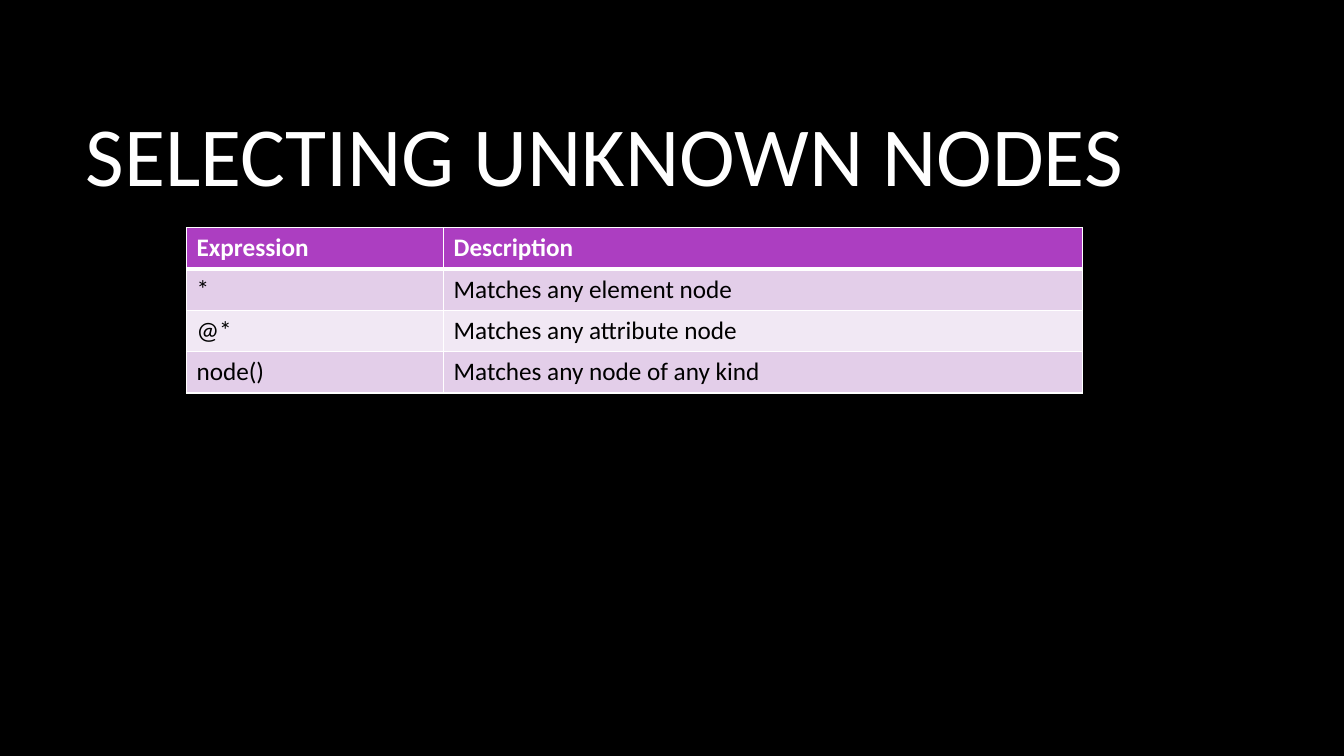
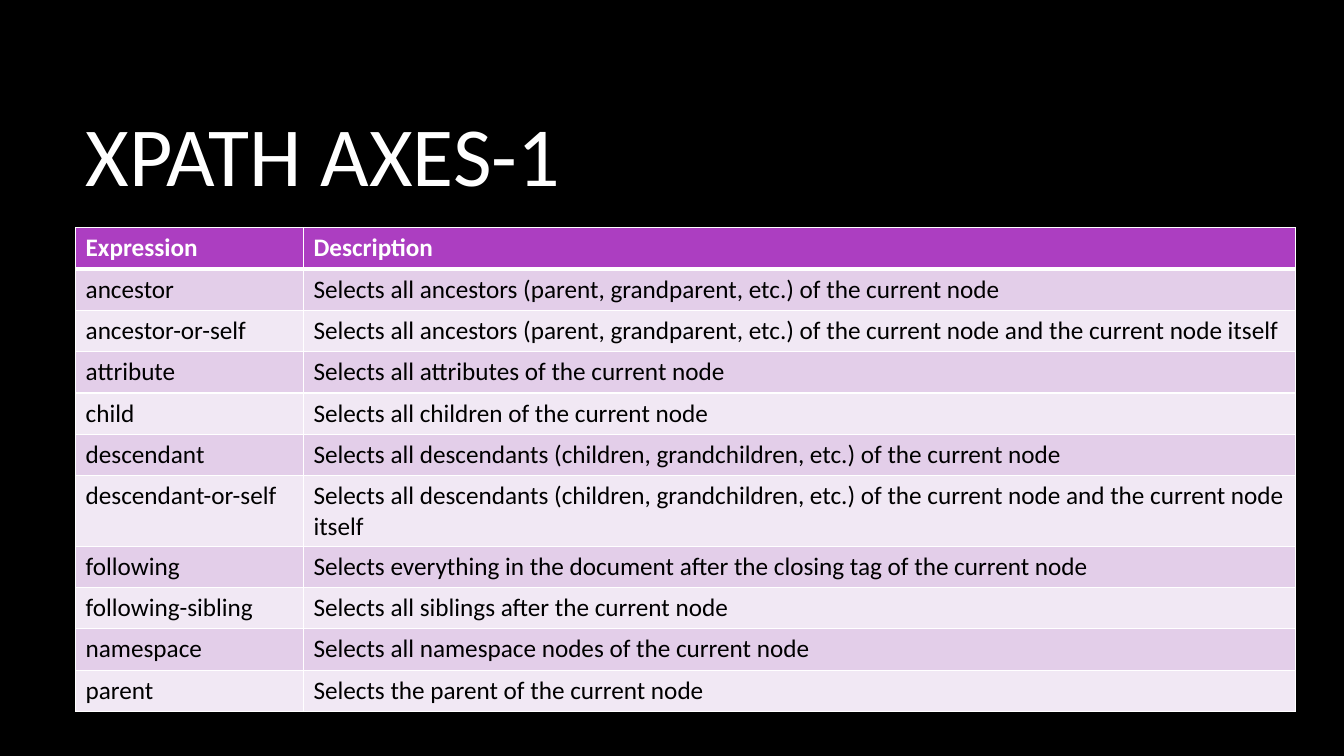
"""Build two slides of XPath reference tables."""
from dataclasses import dataclass
from lxml.etree import SubElement as Sub
from pptx import Presentation as Deck
from pptx.dml.color import RGBColor as RGB
from pptx.enum.text import MSO_ANCHOR as Anchor
from pptx.oxml.ns import qn
from pptx.slide import Slide
from pptx.table import _Cell as Cell
from pptx.text.text import TextFrame as Frame
from pptx.util import Inches, Pt

WIDE, HIGH = 13.33, 7.5
EDGE, TOP, ROW = 0.75, 2.26, 0.41
FONT = "Calibri"
BLACK, WHITE = "000000", "FFFFFF"
HEAD, BANDS = "AC3EC1", ("E3CEE9", "F1E8F4")
THIN, THICK = 1, 3


@dataclass(frozen=True)
class Page:
    title: str
    left: float
    cols: tuple[float, float]
    rows: tuple[tuple[str, str], ...]


PAGES = (
    Page("SELECTING UNKNOWN NODES", 1.85, (2.55, 6.34), (
        ("*", "Matches any element node"),
        ("@*", "Matches any attribute node"),
        ("node()", "Matches any node of any kind"),
    )),
    Page("XPATH AXES-1", EDGE, (2.26, 9.84), (
        ("ancestor", "Selects all ancestors (parent, grandparent, etc.) of the current node"),
        ("ancestor-or-self", "Selects all ancestors (parent, grandparent, etc.) "
         "of the current node and the current node itself"),
        ("attribute", "Selects all attributes of the current node"),
        ("child", "Selects all children of the current node"),
        ("descendant", "Selects all descendants (children, grandchildren, etc.) of the current node"),
        ("descendant-or-self", "Selects all descendants (children, grandchildren, etc.) "
         "of the current node and the current node itself"),
        ("following", "Selects everything in the document after the closing tag of the current node"),
        ("following-sibling", "Selects all siblings after the current node"),
        ("namespace", "Selects all namespace nodes of the current node"),
        ("parent", "Selects the parent of the current node"),
    )),
)


def paint(part, tint: str) -> None:
    part.solid()
    part.fore_color.rgb = RGB.from_string(tint)


def write(frame: Frame, text: str, *, size: float = 18, tint: str = BLACK, bold: bool = False) -> None:
    run = frame.paragraphs[0].add_run()
    run.text = text
    run.font.name, run.font.size, run.font.bold = FONT, Pt(size), bold
    paint(run.font.fill, tint)


def rule(cell: Cell, top: float, base: float) -> None:
    props = cell._tc.get_or_add_tcPr()
    for side, width in zip("LRTB", (THIN, THIN, top, base)):
        line = Sub(props, qn(f"a:ln{side}"), w=str(Pt(width)))
        Sub(Sub(line, qn("a:solidFill")), qn("a:srgbClr"), val=WHITE)


def head(slide: Slide, text: str) -> None:
    box = slide.shapes.add_textbox(Inches(EDGE), Inches(0.67), Inches(11.08), Inches(1.59))
    frame = box.text_frame
    frame.word_wrap = True
    frame.vertical_anchor = Anchor.MIDDLE
    frame.margin_top = Inches(0.15)
    write(frame, text, size=60, tint=WHITE)


def grid(slide: Slide, page: Page) -> None:
    rows = (("Expression", "Description"), *page.rows)
    table = slide.shapes.add_table(
        len(rows), len(page.cols), Inches(page.left), Inches(TOP),
        Inches(sum(page.cols)), Inches(ROW * len(rows))).table
    for col, width in zip(table.columns, page.cols):
        col.width = Inches(width)
    for r, row in enumerate(rows):
        first = r == 0
        for c, text in enumerate(row):
            cell = table.cell(r, c)
            rule(cell, THICK if r == 1 else THIN, THICK if first else THIN)
            paint(cell.fill, HEAD if first else BANDS[(r - 1) % 2])
            write(cell.text_frame, text, tint=WHITE if first else BLACK, bold=first)


def main() -> None:
    deck = Deck()
    deck.slide_width, deck.slide_height = Inches(WIDE), Inches(HIGH)
    paint(deck.slide_master.background.fill, BLACK)
    for page in PAGES:
        slide = deck.slides.add_slide(deck.slide_layouts[6])
        head(slide, page.title)
        grid(slide, page)
    deck.save("out.pptx")


if __name__ == "__main__":
    main()
